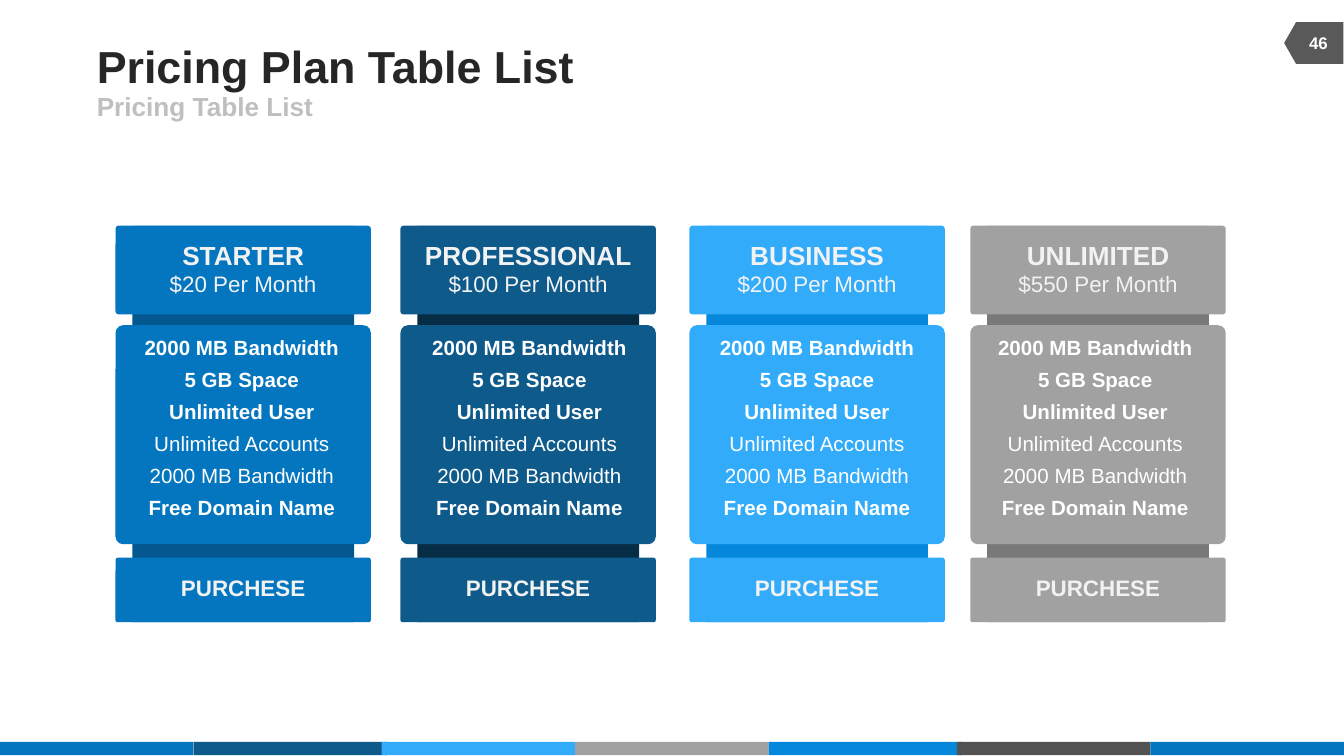
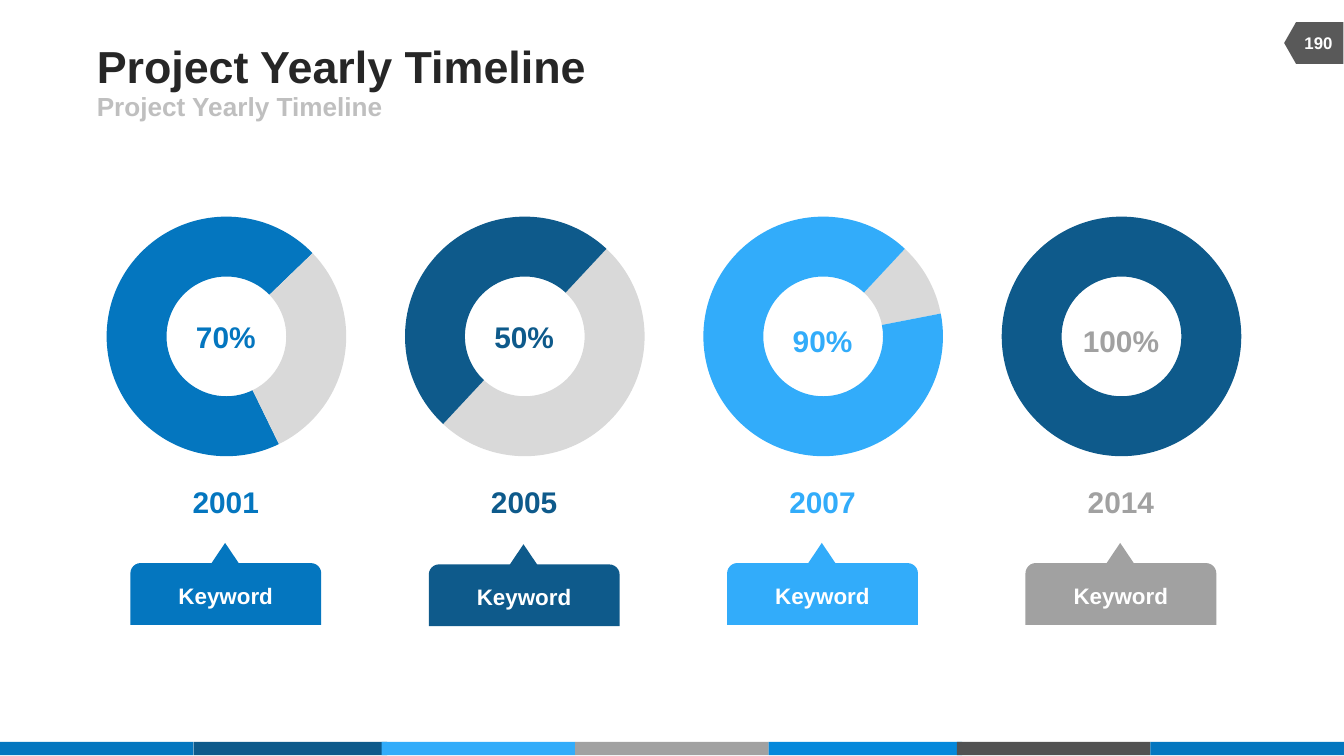
from pptx import Presentation
from pptx.chart.data import CategoryChartData
from pptx.dml.color import RGBColor
from pptx.enum.chart import XL_CHART_TYPE as ChartType
from pptx.enum.shapes import MSO_SHAPE as Shape
from pptx.enum.text import MSO_ANCHOR as Anchor, MSO_AUTO_SIZE as AutoSize, PP_ALIGN as Align
from pptx.oxml import parse_xml
from pptx.oxml.ns import nsdecls, qn
from pptx.util import Inches, Pt

FONT = "Arial"
COLORS = {
    "blue": "0476BF", "navy": "0E5A8B", "sky": "32ACFA", "gray": "A1A1A1",
    "azure": "0588DB", "charcoal": "525252", "flag": "595959",
    "blue_strip": "03588F", "navy_strip": "072D46",
    "sky_strip": "0588DC", "gray_strip": "797979",
    "title": "262626", "subtitle": "BFBFBF", "rest": "D9D9D9",
    "label": "F2F2F2", "white": "FFFFFF", "black": "000000",
}
BAND = [("blue", 0), ("navy", 1.44), ("sky", 2.84), ("gray", 4.28),
        ("azure", 5.72), ("charcoal", 7.12), ("blue", 8.56)]

# name, price, colour, card left, features left, label width
PLANS = [
    ("STARTER", "$20 Per Month", "blue", 0.86, 0.93, 1.1),
    ("PROFESSIONAL", "$100 Per Month", "navy", 2.98, 3.07, 1.55),
    ("BUSINESS", "$200 Per Month", "sky", 5.13, 5.21, 1.19),
    ("UNLIMITED", "$550 Per Month", "gray", 7.22, 7.28, 1.19),
]
FEATURES = [("2000 MB Bandwidth", True), ("5 GB Space", True),
            ("Unlimited User", True), ("Unlimited Accounts", False),
            ("2000 MB Bandwidth", False), ("Free Domain Name", True)]
CARD_WIDTH = 1.9
STRIP_WIDTH = 1.65

# year, share, colour, values, point colours, start angle, share top, callout top
YEARS = [
    ("2001", "70%", "blue", (70, 30), ("blue", "rest"), 154, 2.32, 4.04),
    ("2005", "50%", "navy", (50, 50), ("rest", "navy"), 43, 2.32, 4.05),
    ("2007", "90%", "sky", (10, 90), ("rest", "sky"), 43, 2.35, 4.04),
    ("2014", "100%", "gray", (0, 100), ("blue", "navy"), 43, 2.35, 4.04),
]
FIRST_CENTER, YEAR_PITCH = 1.68, 2.22


def rgb(name):
    return RGBColor.from_string(COLORS[name])


def add_box(slide, kind, left, top, width, height, color, corner=None):
    shape = slide.shapes.add_shape(
        kind, Inches(left), Inches(top), Inches(width), Inches(height))
    shape.shadow.inherit = False
    shape.fill.solid()
    shape.fill.fore_color.rgb = rgb(color)
    shape.line.fill.background()
    if corner is not None:
        shape.adjustments[0] = corner
    return shape


def add_text_box(slide, left, top, width, height):
    return slide.shapes.add_textbox(
        Inches(left), Inches(top), Inches(width), Inches(height))


def write(shape, lines, color, align=Align.CENTER, anchor=Anchor.TOP,
          tight=False, grow=False, wrap=True, gap=0):
    """Fill a shape with lines given as (text, size, bold)."""
    frame = shape.text_frame
    frame.text = "\n".join(text for text, _, _ in lines)
    frame.word_wrap = wrap
    frame.vertical_anchor = anchor
    frame.auto_size = AutoSize.SHAPE_TO_FIT_TEXT if grow else AutoSize.NONE
    if tight:
        frame.margin_left = frame.margin_right = 0
        frame.margin_top = frame.margin_bottom = 0
    for index, (paragraph, (_, size, bold)) in enumerate(zip(frame.paragraphs, lines)):
        paragraph.alignment = align
        paragraph.space_before = Pt(gap if index else 0)
        for run in paragraph.runs:
            run.font.name = FONT
            run.font.size = Pt(size)
            run.font.bold = bold
            run.font.color.rgb = rgb(color)


def place(placeholder, left, top, width, height):
    placeholder.left, placeholder.top = Inches(left), Inches(top)
    placeholder.width, placeholder.height = Inches(width), Inches(height)


def add_base_slide(presentation, title, subtitle, number):
    slide = presentation.slides.add_slide(presentation.slide_layouts[1])
    # Footer band and page flag
    for color, left in BAND:
        add_box(slide, Shape.RECTANGLE, left, 5.52, 1.44, 0.1, color)
    flag = add_box(slide, Shape.FLOWCHART_OFFPAGE_CONNECTOR, 9.62, 0.1, 0.31, 0.44, "flag")
    flag.rotation = 90
    write(add_text_box(slide, 9.6, 0.17, 0.42, 0.3), [(number, 9, True)],
          "white", anchor=Anchor.MIDDLE)
    # Title and subtitle
    heading, body = slide.shapes.title, slide.placeholders[1]
    place(heading, 0.72, 0.29, 6.17, 0.39)
    write(heading, [(title, 24, True)], "title", Align.LEFT, Anchor.MIDDLE, tight=True)
    place(body, 0.72, 0.68, 4.5, 0.22)
    write(body, [(subtitle, 14, True)], "subtitle", Align.LEFT, Anchor.MIDDLE, tight=True)
    properties = body.text_frame.paragraphs[0]._p.get_or_add_pPr()
    properties.set("marL", "0")
    properties.set("indent", "0")
    properties.append(parse_xml(f"<a:buNone {nsdecls('a')}/>"))
    return slide


def add_plan(slide, name, price, color, left, features_left, label_width):
    center = left + CARD_WIDTH / 2
    add_box(slide, Shape.RECTANGLE, center - STRIP_WIDTH / 2, 1.68,
            STRIP_WIDTH, 2.95, color + "_strip")
    # Header, feature and purchase cards
    for top, height in [(2.42, 1.63), (1.68, 0.66), (4.15, 0.48)]:
        add_box(slide, Shape.ROUNDED_RECTANGLE, left, top, CARD_WIDTH, height, color, 0.035)
    labels = [
        (1.78, label_width, 0.44, [(name, 14, True), (price, 12, False)]),
        (4.27, 0.93, 0.2, [("PURCHESE", 12, True)]),
    ]
    for top, width, height, lines in labels:
        label = add_box(slide, Shape.RECTANGLE, center - width / 2, top, width, height, color)
        write(label, lines, "label", tight=True, grow=True, wrap=False)
    write(add_text_box(slide, features_left, 2.44, 1.74, 1.49),
          [(text, 11, bold) for text, bold in FEATURES], "white", grow=True, gap=4)


def add_doughnut(slide, center, values, colors, start):
    data = CategoryChartData()
    data.categories = ["1", "2"]
    data.add_series("Series 1", values)
    chart = slide.shapes.add_chart(
        ChartType.DOUGHNUT, Inches(center - 1.03), Inches(1.43),
        Inches(2.05), Inches(2.17), data).chart
    chart.has_legend = False
    chart.has_title = False
    chart.font.name, chart.font.size = FONT, Pt(18)
    chart.font.color.rgb = rgb("black")
    plot = chart.plots[0]
    plot.vary_by_categories = True
    for index, color in enumerate(colors):
        point = plot.series[0].points[index].format
        point.fill.solid()
        point.fill.fore_color.rgb = rgb(color)
        point.line.fill.background()
    # Ring geometry and plot area
    doughnut = plot._element
    doughnut.find(qn("c:firstSliceAng")).set("val", str(start))
    doughnut.find(qn("c:holeSize")).set("val", "70")
    area = doughnut.getparent()
    for layout in area.findall(qn("c:layout")):
        area.remove(layout)
    area.insert(0, parse_xml(
        f"<c:layout {nsdecls('c')}><c:manualLayout>"
        '<c:layoutTarget val="inner"/><c:xMode val="edge"/><c:yMode val="edge"/>'
        '<c:x val="0.07"/><c:y val="0.08"/><c:w val="0.87"/><c:h val="0.83"/>'
        "</c:manualLayout></c:layout>"))


def add_year(slide, center, year, share, color, values, colors, start, share_top, callout_top):
    add_doughnut(slide, center, values, colors, start)
    share_width = 0.88 if len(share) > 3 else 0.7
    write(add_text_box(slide, center - share_width / 2, share_top, share_width, 0.37),
          [(share, 16, True)], color, anchor=Anchor.MIDDLE, grow=True)
    write(add_text_box(slide, center - 0.25, 3.6, 0.5, 0.27),
          [(year, 16, True)], color, tight=True, grow=True, wrap=False)
    # Callout
    add_box(slide, Shape.ISOSCELES_TRIANGLE, center - 0.16, callout_top, 0.31, 0.23, color)
    callout = add_box(slide, Shape.ROUND_2_SAME_RECTANGLE, center - 0.71,
                      callout_top + 0.15, 1.42, 0.46, color)
    write(callout, [("Keyword", 12, True)], "white", anchor=Anchor.MIDDLE)


def main():
    presentation = Presentation()
    presentation.slide_width = Inches(10)
    presentation.slide_height = Inches(10 * 9 / 16)

    pricing = add_base_slide(presentation, "Pricing Plan Table List", "Pricing Table List", "46")
    for plan in PLANS:
        add_plan(pricing, *plan)

    timeline = add_base_slide(
        presentation, "Project Yearly Timeline", "Project Yearly Timeline", "190")
    for index, year in enumerate(YEARS):
        add_year(timeline, FIRST_CENTER + index * YEAR_PITCH, *year)

    presentation.save("out.pptx")


if __name__ == "__main__":
    main()
